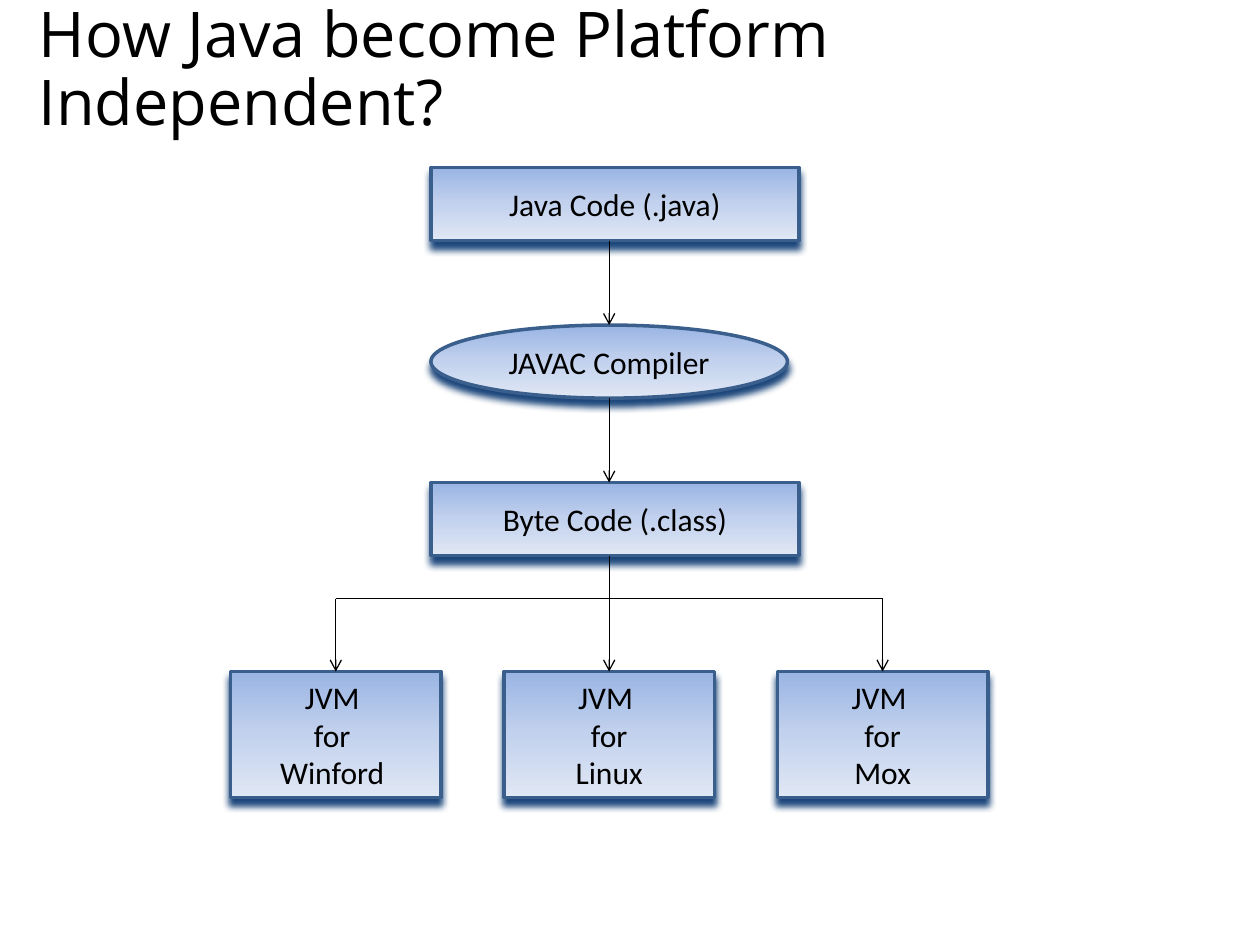
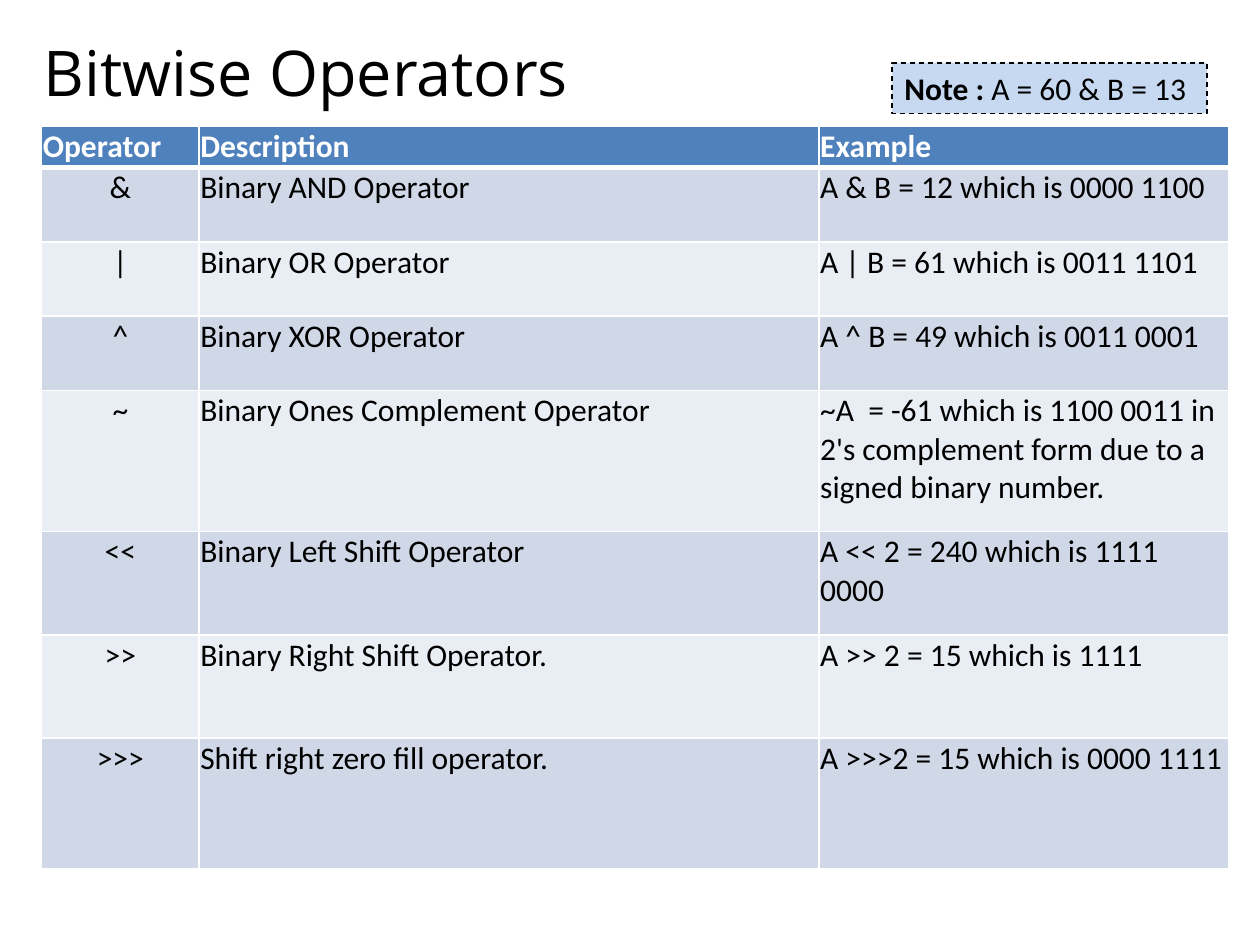
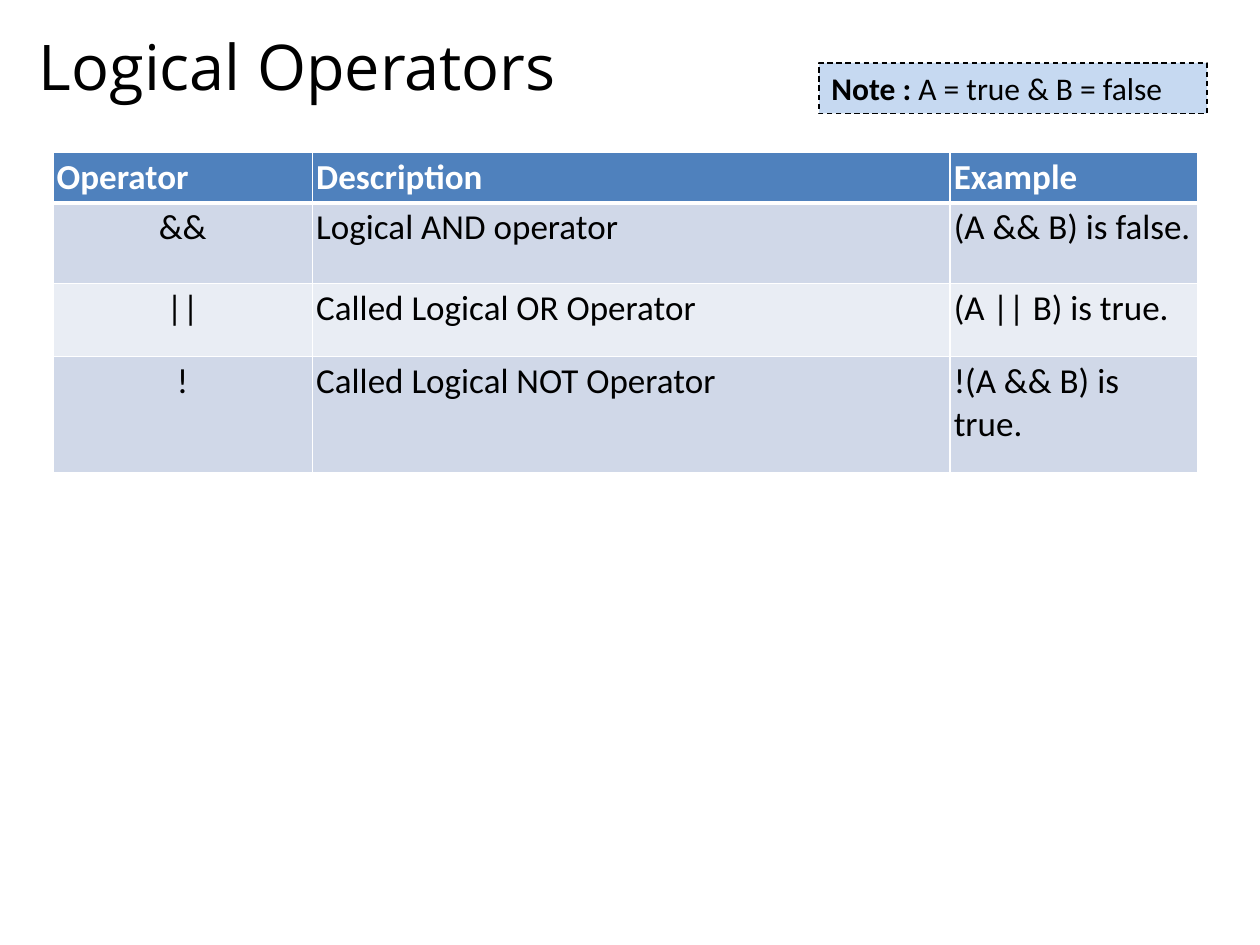
from dataclasses import dataclass

from pptx import Presentation
from pptx.dml.color import RGBColor
from pptx.enum.dml import MSO_LINE
from pptx.enum.shapes import MSO_CONNECTOR, MSO_SHAPE
from pptx.enum.text import MSO_ANCHOR as Anchor
from pptx.enum.text import MSO_AUTO_SIZE as AutoSize
from pptx.enum.text import PP_ALIGN as Align
from pptx.oxml import parse_xml
from pptx.oxml.ns import nsdecls, qn
from pptx.oxml.xmlchemy import OxmlElement
from pptx.util import Inches, Pt

# Shared style
COLORS = {
    "text": "000000",
    "white": "FFFFFF",
    "node_top": "9AB5E4",
    "node_middle": "C2D1ED",
    "node_bottom": "E1E8F5",
    "node_line": "3A5F8C",
    "node_shadow": "1F497D",
    "header": "4F81BD",
    "odd_row": "D0D8E8",
    "even_row": "E9EDF4",
    "note": "C6D9F1",
}
TITLE_FONT = "Open Sans"
BODY_FONT = "Calibri"
BLANK_LAYOUT = 6


@dataclass
class Area:
    left: float
    top: float
    width: float
    height: float

    def lengths(self) -> tuple:
        return tuple(Inches(v) for v in (self.left, self.top, self.width, self.height))


@dataclass
class Node:
    kind: MSO_SHAPE
    area: Area
    lines: list[str]


@dataclass
class OperatorPage:
    title: str
    title_area: Area
    note: str
    note_area: Area
    left: float
    top: float
    columns: list[float]
    row_heights: list[float]
    rows: list[tuple[str, str, str]]
    size: int
    margin: float


def color(name: str) -> RGBColor:
    return RGBColor.from_string(COLORS[name])


def style_font(font, size: int, name: str = BODY_FONT, ink: str = "text") -> None:
    font.name = name
    font.size = Pt(size)
    font.color.rgb = color(ink)


def add_title(page, text: str, area: Area) -> None:
    frame = page.shapes.add_textbox(*area.lengths()).text_frame
    frame.word_wrap = True
    frame.vertical_anchor = Anchor.MIDDLE
    para = frame.paragraphs[0]
    para.text = text
    para.line_spacing = 0.9
    style_font(para.font, 36, TITLE_FONT)


# Flow chart parts
def add_node(page, node: Node):
    box = page.shapes.add_shape(node.kind, *node.area.lengths())
    box.shadow.inherit = False
    box.line.color.rgb = color("node_line")
    box.line.width = Pt(2)
    properties = box._element.spPr
    stops = "".join(
        f'<a:gs pos="{position}"><a:srgbClr val="{COLORS[name]}"/></a:gs>'
        for position, name in ((0, "node_top"), (50000, "node_middle"), (100000, "node_bottom"))
    )
    properties.find(qn("a:prstGeom")).addnext(parse_xml(
        f'<a:gradFill {nsdecls("a")} rotWithShape="1"><a:gsLst>{stops}</a:gsLst>'
        '<a:lin ang="5400000" scaled="0"/></a:gradFill>'
    ))
    properties.find(qn("a:effectLst")).append(parse_xml(
        f'<a:outerShdw {nsdecls("a")} blurRad="{Pt(4)}" dist="{Pt(4)}" dir="5400000" '
        f'rotWithShape="0"><a:srgbClr val="{COLORS["node_shadow"]}"/></a:outerShdw>'
    ))
    frame = box.text_frame
    frame.word_wrap = True
    frame.vertical_anchor = Anchor.MIDDLE
    for index, line in enumerate(node.lines):
        para = frame.add_paragraph() if index else frame.paragraphs[0]
        para.text = line
        para.alignment = Align.CENTER
        style_font(para.font, 18)
    return box


def add_line(page, start: tuple, end: tuple, arrow: bool = False):
    line = page.shapes.add_connector(MSO_CONNECTOR.STRAIGHT, *start, *end)
    line.line.color.rgb = color("text")
    line.line.width = Pt(0.75)
    if arrow:
        tip = OxmlElement("a:tailEnd")
        tip.set("type", "arrow")
        line.line._get_or_add_ln().append(tip)
    line._element.spPr.append(OxmlElement("a:effectLst"))
    return line


def top_middle(box) -> tuple:
    return box.left + box.width // 2, box.top


def add_arrow_to(page, box, start_y: int) -> None:
    x, y = top_middle(box)
    add_line(page, (x, start_y), (x, y), arrow=True).end_connect(box, 0)


def build_flow_page(deck) -> None:
    page = deck.slides.add_slide(deck.slide_layouts[BLANK_LAYOUT])
    add_title(page, "How Java become Platform Independent?", Area(0.21, 0.12, 9.72, 0.89))

    # Compilation steps
    source, compiler, byte_code = [
        add_node(page, Node(kind, Area(3.42, 1.33 + 1.25 * step, width, 0.58), [text]))
        for step, (kind, width, text) in enumerate((
            (MSO_SHAPE.RECTANGLE, 2.92, "Java Code (.java)"),
            (MSO_SHAPE.OVAL, 2.83, "JAVAC Compiler"),
            (MSO_SHAPE.RECTANGLE, 2.92, "Byte Code (.class)"),
        ))
    ]

    # Virtual machines
    machines = [
        add_node(page, Node(MSO_SHAPE.RECTANGLE, Area(1.83 + 2.17 * index, 5.33, 1.67, 1), lines))
        for index, lines in enumerate((
            ["JVM ", "for ", "Winford "],
            ["JVM ", "for", "Linux"],
            ["JVM ", "for", "Mox"],
        ))
    ]

    # Steps are linked along the compiler's axis
    axis = top_middle(compiler)[0]
    add_arrow_to(page, compiler, source.top + source.height)
    add_line(page, (axis, compiler.top + compiler.height), (axis, byte_code.top), arrow=True)

    # Branches to the machines
    branch_y = Inches(4.75)
    add_line(page, (axis, byte_code.top + byte_code.height), (axis, branch_y))
    add_line(page, (top_middle(machines[0])[0], branch_y), (top_middle(machines[-1])[0], branch_y))
    for machine in machines:
        add_arrow_to(page, machine, branch_y)


# Operator page parts
def set_borders(cell, top: float, bottom: float) -> None:
    properties = cell._tc.get_or_add_tcPr()
    sides = (("lnL", 1), ("lnR", 1), ("lnT", top), ("lnB", bottom))
    for index, (side, width) in enumerate(sides):
        properties.insert(index, parse_xml(
            f'<a:{side} {nsdecls("a")} w="{Pt(width)}"><a:solidFill>'
            f'<a:srgbClr val="{COLORS["white"]}"/></a:solidFill></a:{side}>'
        ))


def add_operator_table(page, content: OperatorPage) -> None:
    rows = [("Operator", "Description", "Example"), *content.rows]
    area = Area(content.left, content.top, sum(content.columns), sum(content.row_heights))
    table = page.shapes.add_table(len(rows), len(content.columns), *area.lengths()).table
    for column, width in zip(table.columns, content.columns):
        column.width = Inches(width)
    for row, height in zip(table.rows, content.row_heights):
        row.height = Inches(height)

    for row_index, row in enumerate(rows):
        header = row_index == 0
        fill = "header" if header else "odd_row" if row_index % 2 else "even_row"
        for column_index, text in enumerate(row):
            cell = table.cell(row_index, column_index)
            cell.margin_left = cell.margin_right = Inches(content.margin)
            cell.margin_top = cell.margin_bottom = Inches(content.margin)
            cell.fill.solid()
            cell.fill.fore_color.rgb = color(fill)
            set_borders(cell, top=3 if row_index == 1 else 1, bottom=3 if header else 1)
            para = cell.text_frame.paragraphs[0]
            para.text = text
            style_font(para.font, content.size, ink="white" if header else "text")
            para.font.bold = header
            if column_index == 0 and not header:
                para.alignment = Align.CENTER


def add_note(page, text: str, area: Area) -> None:
    box = page.shapes.add_shape(MSO_SHAPE.RECTANGLE, *area.lengths())
    box.shadow.inherit = False
    box.fill.solid()
    box.fill.fore_color.rgb = color("note")
    box.line.color.rgb = color("text")
    box.line.width = Pt(0.75)
    box.line.dash_style = MSO_LINE.DASH
    frame = box.text_frame
    frame.word_wrap = True
    frame.auto_size = AutoSize.SHAPE_TO_FIT_TEXT
    frame.vertical_anchor = Anchor.TOP
    para = frame.paragraphs[0]
    para.alignment = Align.LEFT
    for part, bold in (("Note : ", True), (text, False)):
        span = para.add_run()
        span.text = part
        span.font.bold = bold
    style_font(para.font, 18)
    for span in para.runs:
        span.font.color.rgb = color("text")


def build_operator_page(deck, content: OperatorPage) -> None:
    page = deck.slides.add_slide(deck.slide_layouts[BLANK_LAYOUT])
    add_title(page, content.title, content.title_area)
    add_operator_table(page, content)
    add_note(page, content.note, content.note_area)


OPERATOR_PAGES = [
    OperatorPage(
        title="Bitwise Operators",
        title_area=Area(0.25, 0.12, 9, 0.97),
        note="A = 60 & B = 13",
        note_area=Area(7.08, 0.5, 2.5, 0.4),
        left=0.33,
        top=1,
        columns=[1.25, 4.92, 3.25],
        row_heights=[0.33, 0.59, 0.59, 0.59, 1.12, 0.82, 0.82, 1.04],
        rows=[
            ("&", "Binary AND Operator", "A & B = 12 which is 0000 1100"),
            ("|", "Binary OR Operator", "A | B = 61 which is 0011 1101"),
            ("^", "Binary XOR Operator", "A ^ B = 49 which is 0011 0001"),
            ("~", "Binary Ones Complement Operator",
             "~A  = -61 which is 1100 0011 in 2's complement form due to a signed binary number."),
            ("<<", "Binary Left Shift Operator", "A << 2 = 240 which is 1111 0000"),
            (">>", "Binary Right Shift Operator.", "A >> 2 = 15 which is 1111"),
            (">>>", "Shift right zero fill operator.", "A >>>2 = 15 which is 0000 1111"),
        ],
        size=18,
        margin=0.01,
    ),
    OperatorPage(
        title="Logical Operators",
        title_area=Area(0.21, 0.12, 9.58, 0.88),
        note="A = true & B = false",
        note_area=Area(6.5, 0.5, 3.08, 0.4),
        left=0.42,
        top=1.21,
        columns=[2.06, 5.06, 1.97],
        row_heights=[0.4, 0.64, 0.58, 0.92],
        rows=[
            ("&&", "Logical AND operator", "(A && B) is false."),
            ("||", "Called Logical OR Operator", "(A || B) is true."),
            ("!", "Called Logical NOT Operator", "!(A && B) is true."),
        ],
        size=20,
        margin=0.03,
    ),
]


def main() -> None:
    deck = Presentation()
    deck.slide_width = Inches(10)
    deck.slide_height = Inches(7.5)
    build_flow_page(deck)
    for content in OPERATOR_PAGES:
        build_operator_page(deck, content)
    deck.save("out.pptx")


if __name__ == "__main__":
    main()
